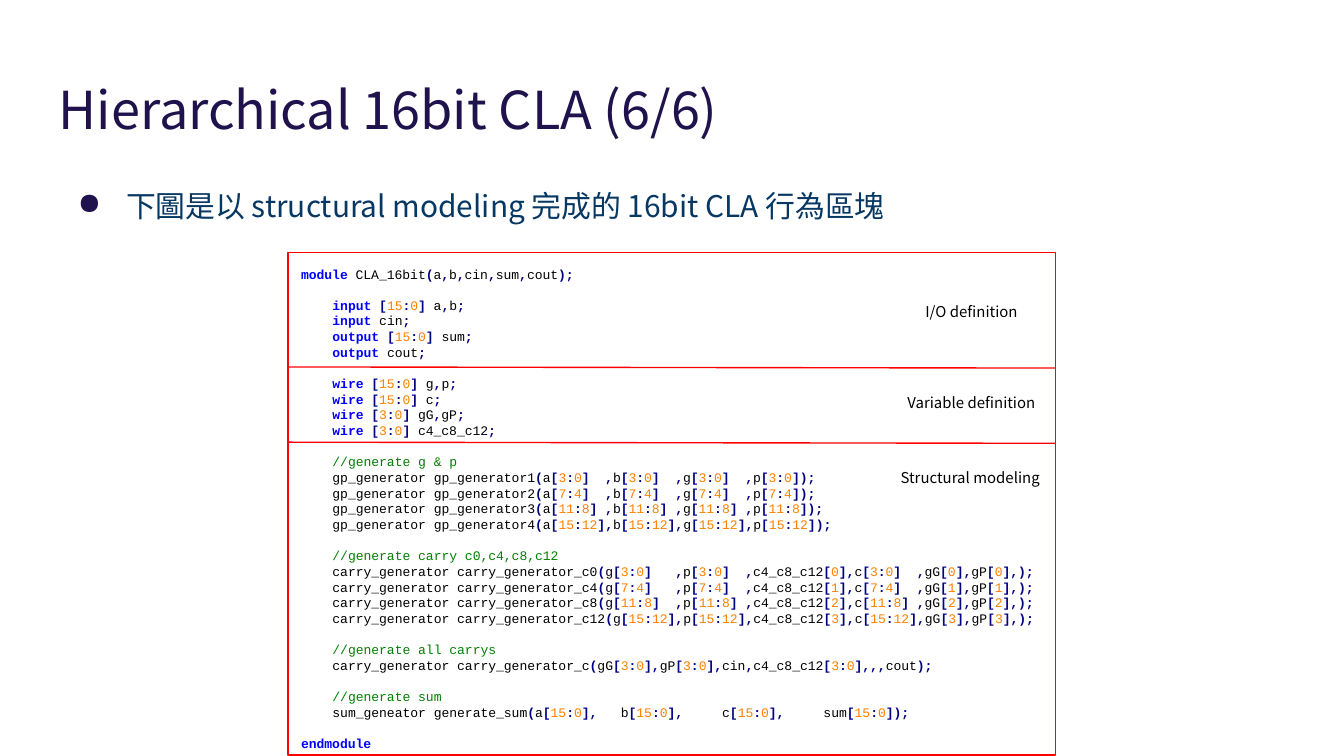
from dataclasses import dataclass
from itertools import groupby

from lxml import etree
from pptx import Presentation
from pptx import util as u
from pptx.dml.color import RGBColor
from pptx.enum import shapes, text
from pptx.oxml.ns import qn


@dataclass(frozen=True)
class Theme:
    sans: str = "Noto Sans CJK TC"
    mono: str = "Courier New"
    title: str = "20124D"
    body: str = "073763"
    frame: str = "FF0000"
    plain: str = "000000"
    keyword: str = "0000FF"
    symbol: str = "000080"
    number: str = "FF8000"
    comment: str = "008000"
    title_size: float = 28
    body_size: float = 16
    label_size: float = 8
    code_size: float = 7
    code_leading: float = 8.4
    code_indent: float = 16.8
    line_width: float = 0.75


KEYWORDS = {"module", "input", "output", "wire", "endmodule"}


def char_kind(ch):
    if ch.isalnum() or ch == "_":
        return "word"
    return "space" if ch == " " else "symbol"


def token_style(kind, token):
    if kind == "symbol":
        return "symbol"
    if token in KEYWORDS:
        return "keyword"
    return "number" if token.isdigit() else "plain"


def highlight(line):
    """Split a code line into (style, text) pieces."""
    if line.startswith("//"):
        return [("comment", line)]
    tokens = ((kind, "".join(chars)) for kind, chars in groupby(line, char_kind))
    styled = [(token_style(kind, token), token) for kind, token in tokens]
    return [(style, "".join(token for _, token in group))
            for style, group in groupby(styled, lambda pair: pair[0])]


class Deck:
    def __init__(self, theme, width, height):
        self.theme = theme
        self.prs = Presentation()
        self.prs.slide_width, self.prs.slide_height = u.Pt(width), u.Pt(height)
        self.s = self.prs.slides.add_slide(self.prs.slide_layouts[6])

    def frame(self, sp, anchor):
        tf = sp.text_frame
        tf.word_wrap = True
        tf.vertical_anchor = anchor
        tf.margin_left = tf.margin_right = u.Pt(7.2)
        tf.margin_top = tf.margin_bottom = u.Pt(7.2)
        return tf

    def font(self, r, name, size, color, bold=False):
        r.font.name, r.font.size, r.font.bold = name, u.Pt(size), bold
        r.font.color.rgb = RGBColor.from_string(color)
        etree.SubElement(r.font._element, qn("a:ea"), typeface=name)

    def text(self, box, words, size, color, align=text.PP_ALIGN.LEFT,
             anchor=text.MSO_ANCHOR.TOP):
        sp = self.s.shapes.add_textbox(*map(u.Pt, box))
        tf = self.frame(sp, anchor)
        tf.text = words
        p = tf.paragraphs[0]
        p.alignment = align
        self.font(p.runs[0], self.theme.sans, size, color)
        return p

    def bullet(self, box, words):
        p = self.text(box, words, self.theme.body_size, self.theme.body)
        p.line_spacing = 1.15
        pPr = p._p.get_or_add_pPr()
        pPr.set("marL", str(u.Pt(36)))
        pPr.set("indent", str(u.Pt(-26)))
        color = etree.SubElement(pPr, qn("a:buClr"))
        etree.SubElement(color, qn("a:srgbClr"), val=self.theme.title)
        etree.SubElement(pPr, qn("a:buChar"), char="●")

    def code(self, box, blocks):
        """Draw a framed listing; blocks are (indented, lines), one line apart."""
        t = self.theme
        sp = self.s.shapes.add_shape(shapes.MSO_SHAPE.RECTANGLE, *map(u.Pt, box))
        sp.shadow.inherit = False
        sp.fill.background()
        sp.line.color.rgb = RGBColor.from_string(t.frame)
        sp.line.width = u.Pt(t.line_width)
        tf = self.frame(sp, text.MSO_ANCHOR.TOP)
        for b, (indented, lines) in enumerate(blocks):
            for i, line in enumerate(lines):
                p = tf.paragraphs[0] if b == i == 0 else tf.add_paragraph()
                p.alignment = text.PP_ALIGN.LEFT
                p.line_spacing = u.Pt(t.code_leading)
                p.space_before = u.Pt(t.code_leading if b and i == 0 else 0)
                if indented:
                    p._p.get_or_add_pPr().set("marL", str(u.Pt(t.code_indent)))
                for style, piece in highlight(line):
                    r = p.add_run()
                    r.text = piece
                    self.font(r, t.mono, t.code_size, getattr(t, style),
                              style in ("keyword", "symbol"))

    def line(self, x1, y1, x2, y2):
        sp = self.s.shapes.add_connector(
            shapes.MSO_CONNECTOR.STRAIGHT, *map(u.Pt, (x1, y1, x2, y2)))
        sp.line.color.rgb = RGBColor.from_string(self.theme.frame)
        sp.line.width = u.Pt(self.theme.line_width)
        etree.SubElement(sp._element.spPr, qn("a:effectLst"))


# Verilog source, with the repeated instances built per 4-bit slice
SLICES = ["3:0", "7:4", "11:8", "15:12"]


def gp_generator(i, bits):
    ports = ",".join(f"{name}[{bits}]".ljust(8) for name in "abgp").rstrip()
    return f"gp_generator gp_generator{i + 1}({ports});"


def carry_generator(i, bits):
    head = f"carry_generator_c{4 * i}(g[{bits}]".ljust(28)
    p, c = (f"{name}[{bits}]".ljust(8) for name in "pc")
    return f"carry_generator {head},{p},c4_c8_c12[{i}],{c},gG[{i}],gP[{i}],);"


BLOCKS = [
    (False, ["module CLA_16bit(a,b,cin,sum,cout);"]),
    (True, ["input [15:0] a,b;", "input cin;",
            "output [15:0] sum;", "output cout;"]),
    (True, ["wire [15:0] g,p;", "wire [15:0] c;",
            "wire [3:0] gG,gP;", "wire [3:0] c4_c8_c12;"]),
    (True, ["//generate g & p",
            *(gp_generator(i, bits) for i, bits in enumerate(SLICES))]),
    (True, ["//generate carry c0,c4,c8,c12",
            *(carry_generator(i, bits) for i, bits in enumerate(SLICES))]),
    (True, ["//generate all carrys",
            "carry_generator carry_generator_c"
            "(gG[3:0],gP[3:0],cin,c4_c8_c12[3:0],,,cout);"]),
    (True, ["//generate sum",
            "sum_geneator generate_sum"
            "(a[15:0],   b[15:0],     c[15:0],     sum[15:0]);"]),
    (False, ["endmodule"]),
]


def main():
    theme = Theme()
    deck = Deck(theme, 720, 405)

    # Title
    deck.text((24.5, 35.3, 671, 45.4), "Hierarchical 16bit CLA (6/6)",
              theme.title_size, theme.title, anchor=text.MSO_ANCHOR.MIDDLE)

    # Code frame and its dividers
    left, top, width, height = 154.2, 135.3, 411.4, 269.3
    deck.code((left, top, width, height), BLOCKS)
    for y in (196.6, 236.9):
        deck.line(left, y, left + width, y + 0.6)

    # Section labels
    center, start = text.PP_ALIGN.CENTER, text.PP_ALIGN.LEFT
    for y, words, align in ((157.5, "I/O definition", center),
                            (206, "Variable definition", center),
                            (246.2, "Structural modeling", start)):
        deck.text((475.4, y, 90.2, 21.6), words, theme.label_size, theme.plain, align)

    # Body
    deck.bullet((24.5, 90.7, 671, 269.3),
                "下圖是以 structural modeling 完成的 16bit CLA 行為區塊")

    deck.prs.save("out.pptx")


if __name__ == "__main__":
    main()
